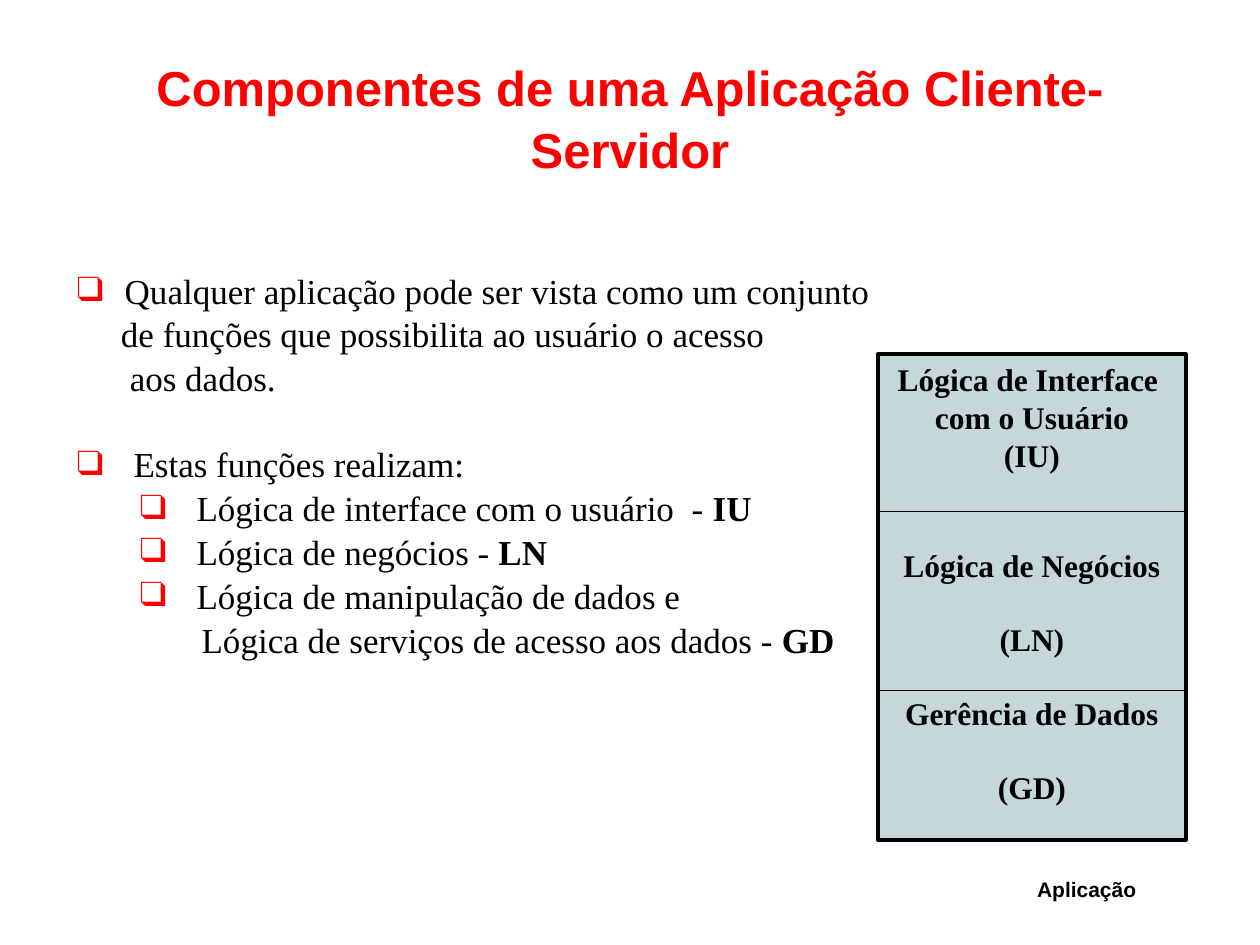
from lxml.etree import SubElement
from pptx import Presentation
from pptx.dml.color import RGBColor
from pptx.enum.shapes import MSO_CONNECTOR, MSO_SHAPE
from pptx.enum.text import MSO_ANCHOR, MSO_AUTO_SIZE, PP_ALIGN
from pptx.oxml.ns import qn
from pptx.util import Inches, Pt

RED = RGBColor(0xFF, 0, 0)
BLACK = RGBColor(0, 0, 0)
WHITE = RGBColor(0xFF, 0xFF, 0xFF)
GREY = RGBColor(0xC5, 0xD7, 0xD9)
SANS, SERIF = "Arial", "Times New Roman"

# Content
TITLE = "Componentes de uma Aplicação Cliente-Servidor"
# level, bullet, left indent (in), space before (pt), text, bold ending
ITEMS = [
    (0, True, 0.38, 0, "Qualquer aplicação pode ser vista como um conjunto", ""),
    (0, False, 0.35, 5.8, "de funções que possibilita ao usuário o acesso", ""),
    (0, False, 0.42, 5.8, "aos dados.", ""),
    (0, True, 0.45, 30, "Estas funções realizam:", ""),
    (1, True, 0.95, 5.8, "Lógica de interface com o usuário  - ", "IU"),
    (1, True, 0.95, 5.8, "Lógica de negócios - ", "LN"),
    (1, True, 0.95, 5.8, "Lógica de manipulação de dados e", ""),
    (1, False, 0.99, 5.8, "Lógica de serviços de acesso aos dados - ", "GD"),
]
# text, empty lines above
LAYERS = [
    ("Lógica de Interface ", 0), ("com o Usuário", 0), ("(IU)", 0),
    ("Lógica de Negócios", 2), ("(LN)", 1),
    ("Gerência de Dados", 1), ("(GD)", 1),
]
LABEL = "Aplicação"
LEFT, WIDTH = 6.97, 2.44
LINE = 20.7


def place(shape, left, top, width, height):
    shape.left, shape.top = Inches(left), Inches(top)
    shape.width, shape.height = Inches(width), Inches(height)


def style(para, size, face, color, bold):
    for run in para.runs:
        font = run.font
        font.size, font.name, font.bold = Pt(size), face, bold
        font.color.rgb = color


def indent(para, left, hang, mark):
    props = para._p.get_or_add_pPr()
    props.set("marL", str(Inches(left)))
    props.set("indent", str(-Inches(hang)))
    if mark:
        color = SubElement(props, qn("a:buClr"))
        SubElement(color, qn("a:srgbClr"), val=str(RED))
        SubElement(props, qn("a:buFont"), typeface=SERIF)
        SubElement(props, qn("a:buChar"), char="❑")
    else:
        SubElement(props, qn("a:buNone"))


def add_box(left, top, width, height, fill):
    box = slide.shapes.add_shape(
        MSO_SHAPE.RECTANGLE, *map(Inches, (left, top, width, height)))
    box.shadow.inherit = False
    box.fill.solid()
    box.fill.fore_color.rgb = fill
    box.text_frame.word_wrap = False
    return box


deck = Presentation()
deck.slide_width, deck.slide_height = Inches(10), Inches(7.5)
slide = deck.slides.add_slide(deck.slide_layouts[1])

# Title
title = slide.shapes.title
place(title, 0.5, 0.3, 9, 1.25)
frame = title.text_frame
frame.text = TITLE
frame.auto_size = MSO_AUTO_SIZE.NONE
frame.vertical_anchor = MSO_ANCHOR.MIDDLE
head = frame.paragraphs[0]
head.alignment, head.line_spacing = PP_ALIGN.CENTER, 1.05
style(head, 28, SANS, RED, True)

# List
body = slide.placeholders[1]
place(body, 0.51, 2.15, 8.99, 4.99)
frame = body.text_frame
frame.text = "\n".join(item[4] for item in ITEMS)
frame.auto_size = MSO_AUTO_SIZE.NONE
for para, (level, mark, left, gap, text, end) in zip(frame.paragraphs, ITEMS):
    para.level, para.line_spacing, para.space_before = level, 0.8, Pt(gap)
    hang = left - 0.5 * level if mark else 0
    indent(para, left, hang, mark)
    if end:
        para.add_run().text = end
    style(para, 20, SERIF, BLACK, False)
    if end:
        para.runs[-1].font.bold = True

# Layers of the application
stack = add_box(LEFT, 2.81, WIDTH, 3.86, GREY)
stack.line.color.rgb, stack.line.width = BLACK, Pt(2.25)
frame = stack.text_frame
frame.vertical_anchor = MSO_ANCHOR.TOP
frame.text = "\n".join(text for text, gap in LAYERS)
for para, (text, gap) in zip(frame.paragraphs, LAYERS):
    para.alignment, para.space_before = PP_ALIGN.CENTER, Pt(gap * LINE)
    style(para, 18, SERIF, BLACK, True)

# Lines between the layers
for top in (4.06, 5.48):
    rule = slide.shapes.add_connector(
        MSO_CONNECTOR.STRAIGHT,
        *map(Inches, (LEFT, top, LEFT + WIDTH, top)))
    rule.line.color.rgb, rule.line.width = BLACK, Pt(0.75)
    SubElement(rule._element.spPr, qn("a:effectLst"))

# Label under the stack
label = add_box(7.84, 6.9, 1.57, 0.31, WHITE)
label.line.fill.background()
label.text_frame.text = LABEL
label.text_frame.vertical_anchor = MSO_ANCHOR.MIDDLE
name = label.text_frame.paragraphs[0]
name.alignment = PP_ALIGN.CENTER
style(name, 12, SANS, BLACK, True)

deck.save("out.pptx")
